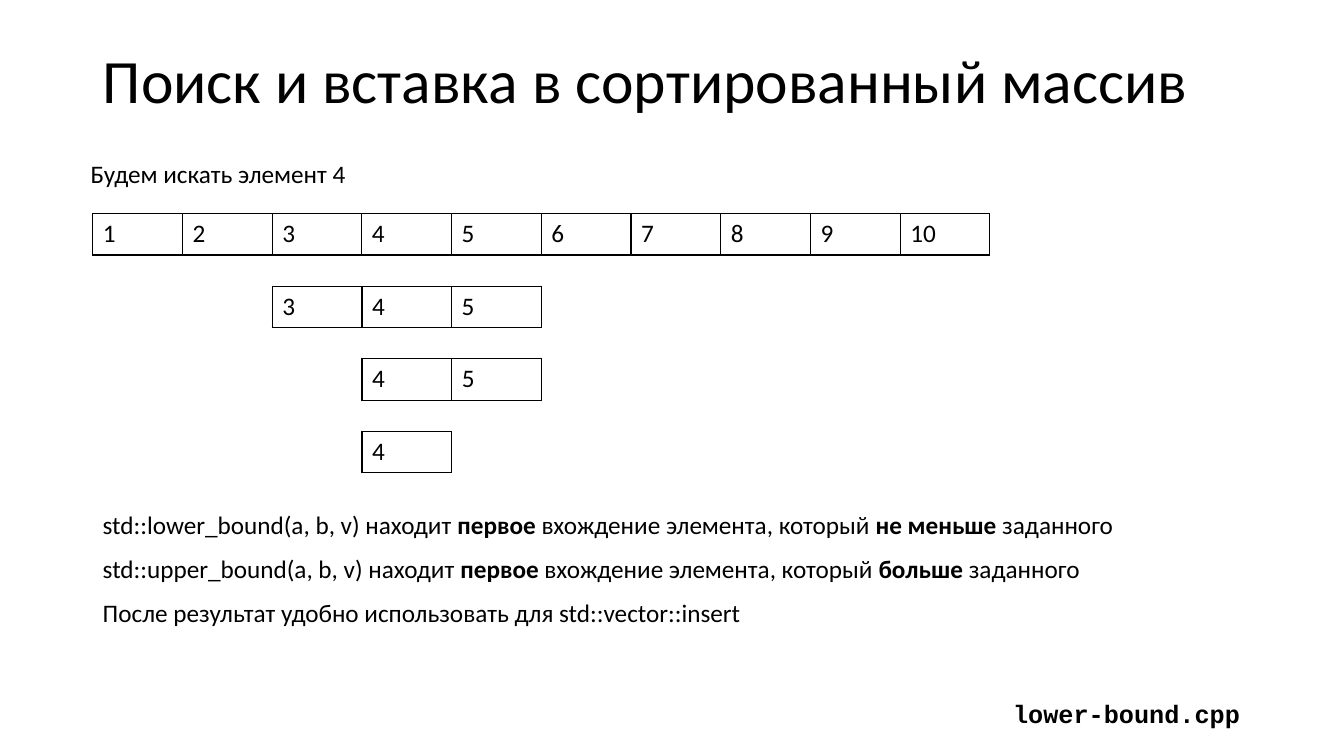
import pptx
import pptx.util
import pptx.dml.color
import pptx.enum.text
import pptx.oxml

BLACK = pptx.dml.color.RGBColor(0, 0, 0)
WHITE = pptx.dml.color.RGBColor(255, 255, 255)
BODY_FONT, CODE_FONT = "Calibri", "Courier New"
LEFT = 0.92
CELL_W, CELL_H = 0.89, 0.41
ARRAY_TOP, ARRAY_STEP = 2.12, 0.72
NOTES_TOP, NOTES_STEP = 5.0, 0.44
TEXT_H = 0.4

SEARCH_RANGES = [(1, 10), (3, 5), (4, 5), (4, 4)]
NOTES = [
    (10.26, ["std::lower_bound(a, b, v) находит ", "первое",
             " вхождение элемента, который ", "не меньше ", "заданного"]),
    (10.05, ["std::upper_bound(a, b, v) находит ", "первое",
             " вхождение элемента, который ", "больше ", "заданного"]),
    (6.58, ["После результат удобно использовать для std::vector::insert"]),
]


def inches(*lengths):
    return [pptx.util.Inches(length) for length in lengths]


def format_run(r, size=18, font=BODY_FONT, bold=False):
    r.font.size = pptx.util.Pt(size)
    r.font.name = font
    r.font.bold = bold
    r.font.color.rgb = BLACK


def add_title(s, text):
    title = s.shapes.title
    title.left, title.top, title.width, title.height = inches(LEFT, 0.4, 11.5, 0.85)
    tf = title.text_frame
    tf.text = text
    tf.vertical_anchor = pptx.enum.text.MSO_ANCHOR.MIDDLE
    p = tf.paragraphs[0]
    p.alignment = pptx.enum.text.PP_ALIGN.LEFT
    p.line_spacing = 0.9
    format_run(p.runs[0], 44)


def add_line(s, left, top, width, pieces, font=BODY_FONT, first_bold=False):
    """Add a one-line text whose pieces alternate between regular and bold."""
    tf = s.shapes.add_textbox(*inches(left, top, width, TEXT_H)).text_frame
    tf.word_wrap = False
    tf.auto_size = pptx.enum.text.MSO_AUTO_SIZE.SHAPE_TO_FIT_TEXT
    for i, piece in enumerate(pieces):
        r = tf.paragraphs[0].add_run()
        r.text = piece
        format_run(r, font=font, bold=(i % 2 == 1) != first_bold)


def set_borders(cell):
    tcPr = cell._tc.get_or_add_tcPr()
    for i, side in enumerate(("lnL", "lnR", "lnT", "lnB")):
        tcPr.insert(i, pptx.oxml.parse_xml(
            f'<a:{side} xmlns:a="http://schemas.openxmlformats.org/drawingml/2006/main" '
            f'w="12700"><a:solidFill><a:srgbClr val="{BLACK}"/></a:solidFill></a:{side}>'))


def add_array(s, row, first, last):
    """Add the elements first..last, each in the column of its value."""
    count = last - first + 1
    left = LEFT + (first - 1) * CELL_W
    top = ARRAY_TOP + row * ARRAY_STEP
    table = s.shapes.add_table(
        1, count, *inches(left, top, count * CELL_W, CELL_H)).table
    table.first_row = table.horz_banding = False
    for column in table.columns:
        column.width = pptx.util.Inches(CELL_W)
    for i in range(count):
        cell = table.cell(0, i)
        cell.text = str(first + i)
        format_run(cell.text_frame.paragraphs[0].runs[0])
        cell.fill.solid()
        cell.fill.fore_color.rgb = WHITE
        set_borders(cell)


def main():
    prs = pptx.Presentation()
    prs.slide_width, prs.slide_height = inches(13.33, 7.5)
    s = prs.slides.add_slide(prs.slide_layouts.get_by_name("Title Only"))
    add_title(s, "Поиск и вставка в сортированный массив")
    add_line(s, 0.8, 1.52, 2.76, ["Будем искать элемент 4"])
    for row, (first, last) in enumerate(SEARCH_RANGES):
        add_array(s, row, first, last)
    for i, (width, pieces) in enumerate(NOTES):
        add_line(s, LEFT, NOTES_TOP + i * NOTES_STEP, width, pieces)
    add_line(s, 9.95, 6.88, 2.46, ["lower-bound.cpp"], CODE_FONT, first_bold=True)
    prs.save("out.pptx")


if __name__ == "__main__":
    main()
